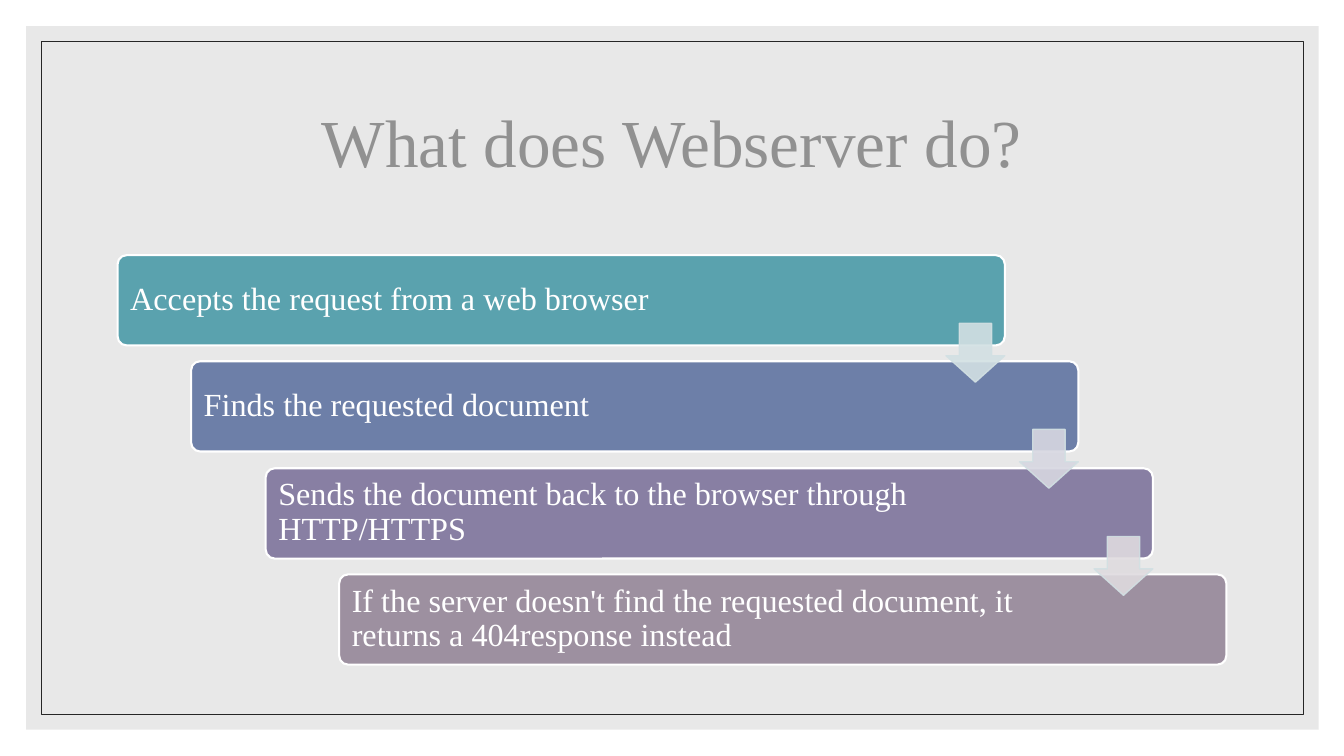
from lxml.etree import SubElement
from pptx import Presentation
from pptx.dml.color import RGBColor
from pptx.enum.shapes import MSO_SHAPE
from pptx.enum.text import MSO_ANCHOR, PP_ALIGN
from pptx.oxml.ns import qn
from pptx.util import Pt

PX = 9525
FONT = "Times New Roman"
COLORS = {
    "white": "FFFFFF", "ink": "262626", "panel": "D9D9D9", "arrow_line": "D2E0E3",
}
# text, card colour, text width, colour of the arrow to the next step
STEPS = [
    ("Accepts the request from a web browser", "5AA2AE", 745, "D2E0E3"),
    ("Finds the requested document", "6D7FA8", 714, "D7D7E1"),
    ("Sends the document back to the browser through HTTP/HTTPS", "887FA3", 714, "DFDBDF"),
    ("If the server doesn't find the requested document, it returns a 404response instead",
     "9D90A0", 714, None),
]


def paint(fill, color, alpha=100):
    """Make a fill solid, with alpha as percent opacity."""
    fill.solid()
    fill.fore_color.rgb = RGBColor.from_string(color)
    if alpha < 100:
        srgb = fill._xPr.find(f".//{qn('a:srgbClr')}")
        SubElement(srgb, qn("a:alpha"), val=str(alpha * 1000))


def write(tf, text, size, color, align=PP_ALIGN.LEFT, inset=10):
    tf.word_wrap = True
    tf.vertical_anchor = MSO_ANCHOR.MIDDLE
    tf.margin_left = tf.margin_right = tf.margin_top = tf.margin_bottom = inset * PX
    p = tf.paragraphs[0]
    p.alignment = align
    p.line_spacing = 0.9
    r = p.add_run()
    r.text = text
    r.font.name = FONT
    r.font.size = Pt(size)
    r.font.color.rgb = RGBColor.from_string(color)


class SlideBuilder:
    def __init__(self, prs):
        self.slide = prs.slides.add_slide(prs.slide_layouts[5])
        paint(self.slide.background.fill, COLORS["white"])

    def title(self, text, *box):
        sp = self.slide.shapes.title
        sp.left, sp.top, sp.width, sp.height = (v * PX for v in box)
        write(sp.text_frame, text, 48, COLORS["ink"], align=PP_ALIGN.CENTER)

    def shape(self, kind, *box, fill=None, line=None, weight=1, alpha=100, adj=()):
        sp = self.slide.shapes.add_shape(kind, *(v * PX for v in box))
        sp.shadow.inherit = False
        for i, value in enumerate(adj):
            sp.adjustments[i] = value
        if fill:
            paint(sp.fill, fill, alpha)
        else:
            sp.fill.background()
        if line:
            paint(sp.line.fill, line, alpha)
            sp.line.width = Pt(weight)
        else:
            sp.line.fill.background()

    def label(self, text, *box):
        sp = self.slide.shapes.add_textbox(*(v * PX for v in box))
        write(sp.text_frame, text, 23, COLORS["white"])


def main():
    prs = Presentation()
    prs.slide_width, prs.slide_height = 1280 * PX, 720 * PX
    s = SlideBuilder(prs)
    s.shape(MSO_SHAPE.RECTANGLE, 25, 25, 1231, 670, fill=COLORS["panel"], alpha=60)
    s.shape(MSO_SHAPE.RECTANGLE, 39, 39, 1202, 641, line=COLORS["ink"], weight=0.5)
    s.title("What does Webserver do?", 112, 67, 1056, 144)

    corners = [(112 + round(211 * i / 3), 243 + round(304 * i / 3))
               for i in range(len(STEPS))]
    for (x, y), (text, color, width, _) in zip(corners, STEPS):
        s.shape(MSO_SHAPE.ROUNDED_RECTANGLE, x, y, 845, 86, fill=color,
                line=COLORS["white"], weight=1.5, adj=[0.1])
        s.label(text, x + 2, y + 2, width, 81)
    for (x, y), (_, _, _, color) in zip(corners, STEPS[:-1]):
        s.shape(MSO_SHAPE.DOWN_ARROW, x + 789, y + 65, 56, 56, fill=color,
                line=COLORS["arrow_line"], alpha=90, adj=[0.55, 0.45])
    prs.save("out.pptx")


if __name__ == "__main__":
    main()
